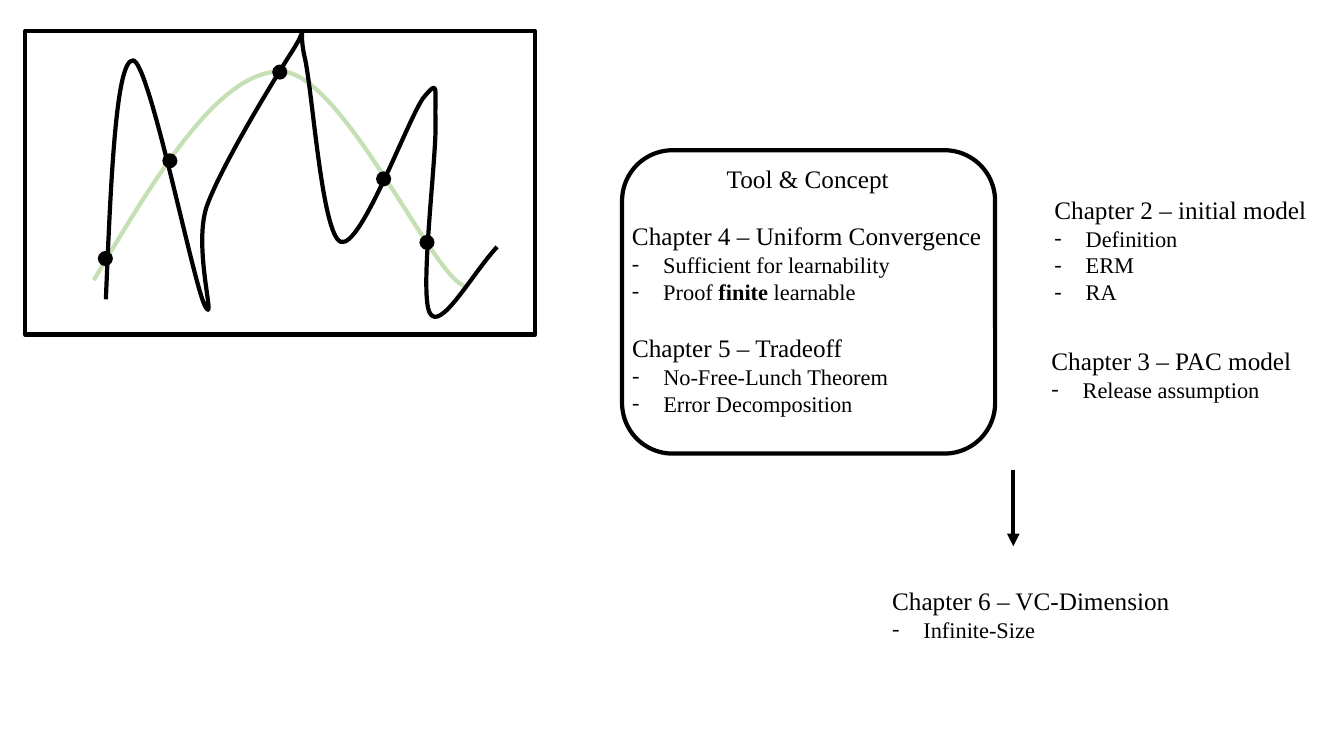
"""Build a slide on overfitting and the chapters that lead to VC-dimension."""
from lxml import etree
from pptx import Presentation
from pptx.dml.color import RGBColor
from pptx.enum.shapes import MSO_CONNECTOR, MSO_SHAPE
from pptx.enum.text import MSO_AUTO_SIZE
from pptx.oxml.ns import qn
from pptx.util import Inches, Pt

BLACK, GREEN = "000000", "C5E0B4"
FONT = "Times New Roman"


def rgb(color):
    return RGBColor.from_string(color)


def outline(sp, color):
    sp.shadow.inherit = False
    sp.fill.background()
    sp.line.color.rgb = rgb(color)
    sp.line.width = Pt(3)


prs = Presentation()
prs.slide_width, prs.slide_height = Inches(13.33), Inches(7.5)
s = prs.slides.add_slide(prs.slide_layouts[6])

frame = s.shapes.add_shape(MSO_SHAPE.RECTANGLE, Inches(0.25), Inches(0.31), Inches(5.06), Inches(3.01))
outline(frame, BLACK)

smooth_fit = [(0.93, 2.78), (1.55, 1.74), (2.17, 0.7), (2.79, 0.71),
              (3.4, 0.72), (4.32, 2.81), (4.62, 2.84)]
overfit = [(1.05, 2.97), (1.1, 1.78), (1.15, 0.59), (1.32, 0.6),
           (1.48, 0.61), (1.91, 2.78), (2.03, 3.03),
           (2.16, 3.27), (1.91, 2.47), (2.05, 2.05),
           (2.2, 1.63), (2.75, 0.74), (2.91, 0.49),
           (3.07, 0.24), (2.95, 0.24), (3.02, 0.56),
           (3.1, 0.88), (3.19, 2.33), (3.38, 2.4),
           (3.58, 2.47), (4.05, 1.17), (4.2, 0.97),
           (4.36, 0.78), (4.31, 0.86), (4.32, 1.22),
           (4.33, 1.57), (4.16, 2.89), (4.26, 3.1),
           (4.36, 3.31), (4.68, 2.72), (4.93, 2.45)]
samples = [(0.97, 2.49), (1.61, 1.52), (2.7, 0.64), (3.73, 1.7), (4.16, 2.33)]
curves = [(GREEN, smooth_fit, (0.93, 0.71, 3.69, 2.13), samples),
          (BLACK, overfit, (1.05, 0.31, 3.88, 2.83), [])]

for color, knots, bounds, dots in curves:
    knots = [(Inches(x), Inches(y)) for x, y in knots]
    builder = s.shapes.build_freeform(*knots[0])
    builder.add_line_segments(knots[3::3], close=False)
    curve = builder.convert_to_shape()
    outline(curve, color)
    curve.left, curve.top, curve.width, curve.height = map(Inches, bounds)
    outline_path = curve._element.find(".//" + qn("a:path"))
    outline_path.set("w", str(curve.width))
    outline_path.set("h", str(curve.height))
    for command in list(outline_path):
        outline_path.remove(command)
    for i in range(0, len(knots), 3):
        command = etree.SubElement(outline_path, qn("a:cubicBezTo" if i else "a:moveTo"))
        for x, y in knots[max(i - 2, 0):i + 1]:
            etree.SubElement(command, qn("a:pt"), x=str(x - curve.left), y=str(y - curve.top))
    for x, y in dots:
        dot = s.shapes.add_shape(MSO_SHAPE.OVAL, Inches(x), Inches(y), Inches(0.15), Inches(0.15))
        dot.shadow.inherit = False
        dot.fill.solid()
        dot.fill.fore_color.rgb = rgb(BLACK)
        dot.line.fill.background()

tool_box = s.shapes.add_shape(MSO_SHAPE.ROUNDED_RECTANGLE, Inches(6.17), Inches(1.49), Inches(3.7), Inches(3.01))
outline(tool_box, BLACK)

notes = [
    (10.36, 1.88, 2.73, 1.21, "Chapter 2 – initial model", ["Definition", "ERM", "RA"]),
    (10.33, 3.38, 2.61, 0.67, "Chapter 3 – PAC model", ["Release assumption"]),
    (6.17, 2.14, 3.7, 0.94, "Chapter 4 – Uniform Convergence",
     ["Sufficient for learnability", "Proof *finite* learnable"]),
    (7.11, 1.57, 1.83, 0.4, "Tool & Concept", []),
    (6.17, 3.25, 2.78, 0.94, "Chapter 5 – Tradeoff", ["No-Free-Lunch Theorem", "Error Decomposition"]),
    (8.75, 5.76, 2.98, 0.67, "Chapter 6 – VC-Dimension", ["Infinite-Size"]),
]
for x, y, w, h, heading, bullets in notes:
    tf = s.shapes.add_textbox(Inches(x), Inches(y), Inches(w), Inches(h)).text_frame
    tf.word_wrap = False
    tf.auto_size = MSO_AUTO_SIZE.SHAPE_TO_FIT_TEXT
    for i, line in enumerate([heading] + bullets):
        p = tf.add_paragraph() if i else tf.paragraphs[0]
        size = 16 if i else 18
        if i:
            pPr = p._p.get_or_add_pPr()
            pPr.set("marL", str(Inches(0.31)))
            pPr.set("indent", str(-Inches(0.31)))
            etree.SubElement(pPr, qn("a:buFont"), typeface=FONT)
            etree.SubElement(pPr, qn("a:buChar"), char="-")
        for j, part in enumerate(line.split("*")):
            r = p.add_run()
            r.text = part
            r.font.name = FONT
            r.font.size = Pt(size)
            r.font.bold = True if j % 2 else None
            r.font.color.rgb = rgb(BLACK)
        etree.SubElement(p._p, qn("a:endParaRPr"), sz=str(size * 100))

arrow = s.shapes.add_connector(MSO_CONNECTOR.STRAIGHT, Inches(10.05), Inches(4.66), Inches(10.05), Inches(5.42))
arrow.line.color.rgb = rgb(BLACK)
arrow.line.width = Pt(3)
spPr = arrow._element.spPr
etree.SubElement(spPr.find(qn("a:ln")), qn("a:tailEnd"), type="triangle")
etree.SubElement(spPr, qn("a:effectLst"))

prs.save("out.pptx")
